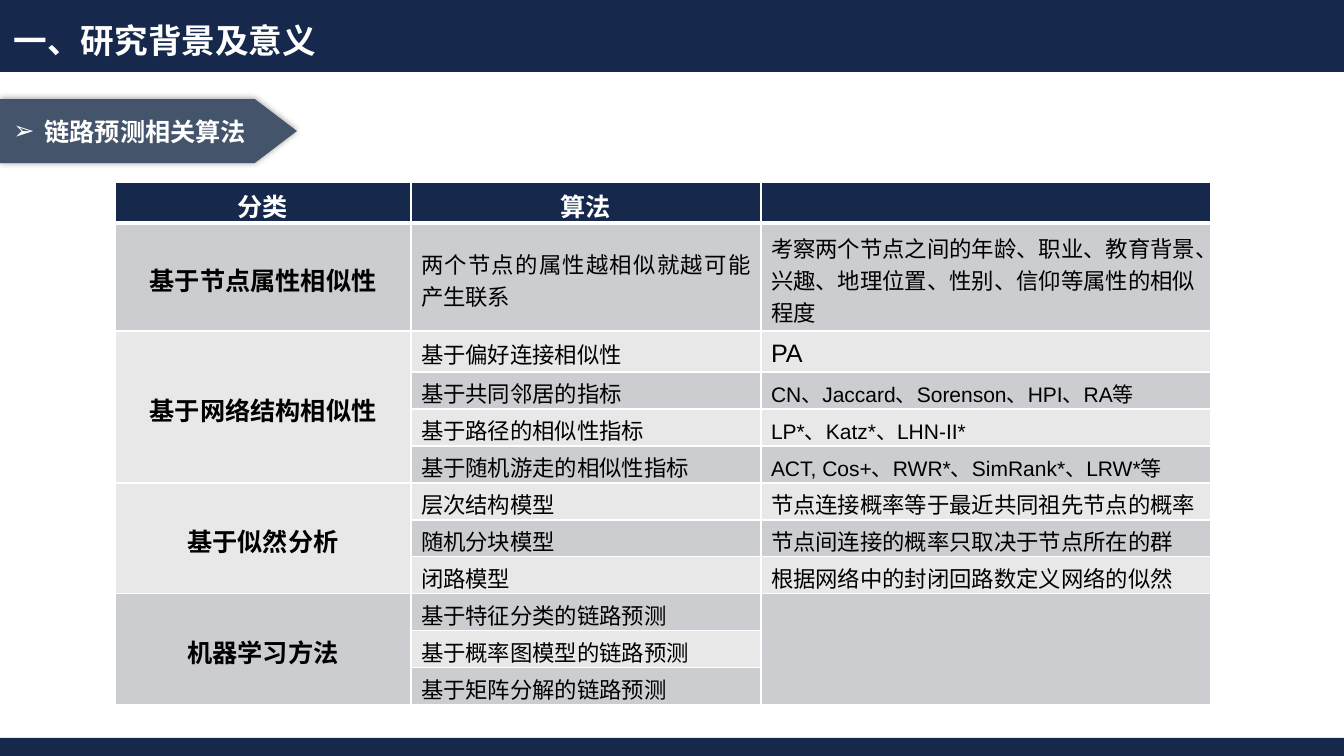
from dataclasses import dataclass
from typing import Any

from lxml import etree
from pptx import Presentation
from pptx.dml.color import RGBColor
from pptx.enum.shapes import MSO_SHAPE
from pptx.enum.text import MSO_ANCHOR, PP_ALIGN
from pptx.oxml.ns import qn
from pptx.util import Emu, Pt

RECTANGLE, PENTAGON = MSO_SHAPE.RECTANGLE, MSO_SHAPE.PENTAGON
LEFT, CENTER, RIGHT, JUSTIFY = PP_ALIGN.LEFT, PP_ALIGN.CENTER, PP_ALIGN.RIGHT, PP_ALIGN.JUSTIFY
MIDDLE = MSO_ANCHOR.MIDDLE

SLIDE_WIDTH, SLIDE_HEIGHT = 1344, 756
EMU_PER_PX = 12192000 / SLIDE_WIDTH
LATIN, CJK = "Arial", "Noto Sans CJK SC"
COLORS = {
    "navy": "16294C",
    "slate": "44546A",
    "dark_band": "CCCDD0",
    "light_band": "E8E8E9",
    "white": "FFFFFF",
    "black": "000000",
}
TABLE_LEFT, TABLE_TOP = 115, 182
COLUMN_WIDTHS = [296, 350, 450]
ROW_HEIGHTS = [41, 108, 41] + [37] * 9
HEADINGS = ["分类", "算法", ""]


@dataclass(frozen=True)
class Block:
    kind: Any
    left: int
    top: int
    width: int
    height: int
    color: str


@dataclass(frozen=True)
class Method:
    name: str
    detail: str = ""
    detail_size: int = 16


@dataclass(frozen=True)
class Category:
    name: str
    methods: list[Method]


BARS = [
    Block(RECTANGLE, 0, 0, SLIDE_WIDTH, 72, "navy"),
    Block(RECTANGLE, 0, 738, SLIDE_WIDTH, 18, "navy"),
]
SECTION_TAG = Block(PENTAGON, 0, 99, 297, 64, "slate")
CATEGORIES = [
    Category("基于节点属性相似性", [
        Method("两个节点的属性越相似就越可能产生联系",
               "考察两个节点之间的年龄、职业、教育背景、兴趣、地理位置、性别、信仰等属性的相似程度"),
    ]),
    Category("基于网络结构相似性", [
        Method("基于偏好连接相似性", "PA", 18),
        Method("基于共同邻居的指标", "CN、Jaccard、Sorenson、HPI、RA等", 15),
        Method("基于路径的相似性指标", "LP*、Katz*、LHN-II*", 15),
        Method("基于随机游走的相似性指标", "ACT, Cos+、RWR*、SimRank*、LRW*等", 15),
    ]),
    Category("基于似然分析", [
        Method("层次结构模型", "节点连接概率等于最近共同祖先节点的概率"),
        Method("随机分块模型", "节点间连接的概率只取决于节点所在的群"),
        Method("闭路模型", "根据网络中的封闭回路数定义网络的似然"),
    ]),
    Category("机器学习方法", [
        Method("基于特征分类的链路预测"),
        Method("基于概率图模型的链路预测"),
        Method("基于矩阵分解的链路预测"),
    ]),
]


def px(length: int) -> Emu:
    return Emu(round(length * EMU_PER_PX))


def rgb(color: str) -> RGBColor:
    return RGBColor.from_string(COLORS[color])


def add_color(parent: Any, color: str) -> Any:
    return etree.SubElement(parent, qn("a:srgbClr"), val=COLORS[color])


def write(frame: Any, text: str, *, size: int, color: str = "black", bold: bool = False,
          align: Any = LEFT, latin: str = LATIN, bullet: str = "", indent: int = 0) -> None:
    paragraph = frame.paragraphs[0]
    paragraph.alignment = align
    if bullet:
        properties = paragraph._p.get_or_add_pPr()
        properties.set("marL", str(px(indent)))
        properties.set("indent", str(-px(indent)))
        etree.SubElement(properties, qn("a:buFont"), typeface=LATIN)
        etree.SubElement(properties, qn("a:buChar"), char=bullet)
    run = paragraph.add_run()
    run.text = text
    run.font.size = Pt(size)
    run.font.bold = bold
    run.font.name = latin
    run.font.color.rgb = rgb(color)
    etree.SubElement(run._r.get_or_add_rPr(), qn("a:ea"), typeface=CJK)


def add_block(slide: Any, block: Block) -> Any:
    shape = slide.shapes.add_shape(
        block.kind, px(block.left), px(block.top), px(block.width), px(block.height))
    shape.shadow.inherit = False
    shape.fill.solid()
    shape.fill.fore_color.rgb = rgb(block.color)
    shape.line.fill.background()
    return shape


def add_section_tag(slide: Any) -> None:
    tag = add_block(slide, SECTION_TAG)
    tag.adjustments[0] = 0.66
    effects = tag._element.spPr.find(qn("a:effectLst"))
    shadow = etree.SubElement(effects, qn("a:outerShdw"), blurRad=str(Pt(5)), dist="0", dir="0")
    etree.SubElement(add_color(shadow, "black"), qn("a:alpha"), val="40000")


def add_label(slide: Any, text: str, top: int, width: int, height: int, **text_format: Any) -> None:
    frame = slide.shapes.add_textbox(0, px(top), px(width), px(height)).text_frame
    frame.word_wrap = False
    frame.vertical_anchor = MIDDLE
    write(frame, text, color="white", bold=True, align=RIGHT, latin=CJK, **text_format)


def style_cell(cell: Any, color: str, bottom_width: int) -> None:
    properties = cell._tc.get_or_add_tcPr()
    for side, width in (("lnL", 1), ("lnR", 1), ("lnT", 1), ("lnB", bottom_width)):
        border = etree.SubElement(properties, qn(f"a:{side}"), w=str(Pt(width)))
        add_color(etree.SubElement(border, qn("a:solidFill")), "white")
    cell.fill.solid()
    cell.fill.fore_color.rgb = rgb(color)
    cell.vertical_anchor = MIDDLE
    cell.margin_bottom = 0


def add_algorithm_table(slide: Any) -> None:
    table = slide.shapes.add_table(
        len(ROW_HEIGHTS), len(COLUMN_WIDTHS), px(TABLE_LEFT), px(TABLE_TOP),
        px(sum(COLUMN_WIDTHS)), px(sum(ROW_HEIGHTS))).table
    for column, width in zip(table.columns, COLUMN_WIDTHS):
        column.width = px(width)
    for index, (row, height) in enumerate(zip(table.rows, ROW_HEIGHTS)):
        row.height = px(height)
        band = "navy" if index == 0 else "dark_band" if index % 2 else "light_band"
        for cell in row.cells:
            style_cell(cell, band, 1 if index else 3)
    for index, heading in enumerate(HEADINGS):
        if heading:
            write(table.cell(0, index).text_frame, heading,
                  size=18, color="white", bold=True, align=CENTER)
    first = 1
    for category in CATEGORIES:
        last = first + len(category.methods) - 1
        if last > first:
            table.cell(first, 0).merge(table.cell(last, 0))
            if not any(method.detail for method in category.methods):
                table.cell(first, 2).merge(table.cell(last, 2))
        write(table.cell(first, 0).text_frame, category.name, size=18, bold=True, align=CENTER)
        for row_index, method in enumerate(category.methods, first):
            write(table.cell(row_index, 1).text_frame, method.name, size=16, align=JUSTIFY)
            if method.detail:
                write(table.cell(row_index, 2).text_frame, method.detail, size=method.detail_size)
        first = last + 1


def main() -> None:
    presentation = Presentation()
    presentation.slide_width = px(SLIDE_WIDTH)
    presentation.slide_height = px(SLIDE_HEIGHT)
    slide = presentation.slides.add_slide(presentation.slide_layouts[6])
    for bar in BARS:
        add_block(slide, bar)
    add_label(slide, "一、研究背景及意义", 15, 326, 50, size=24)
    add_section_tag(slide)
    add_label(slide, "链路预测相关算法", 111, 256, 40, size=18, bullet="➢", indent=31)
    add_algorithm_table(slide)
    presentation.save("out.pptx")


if __name__ == "__main__":
    main()
